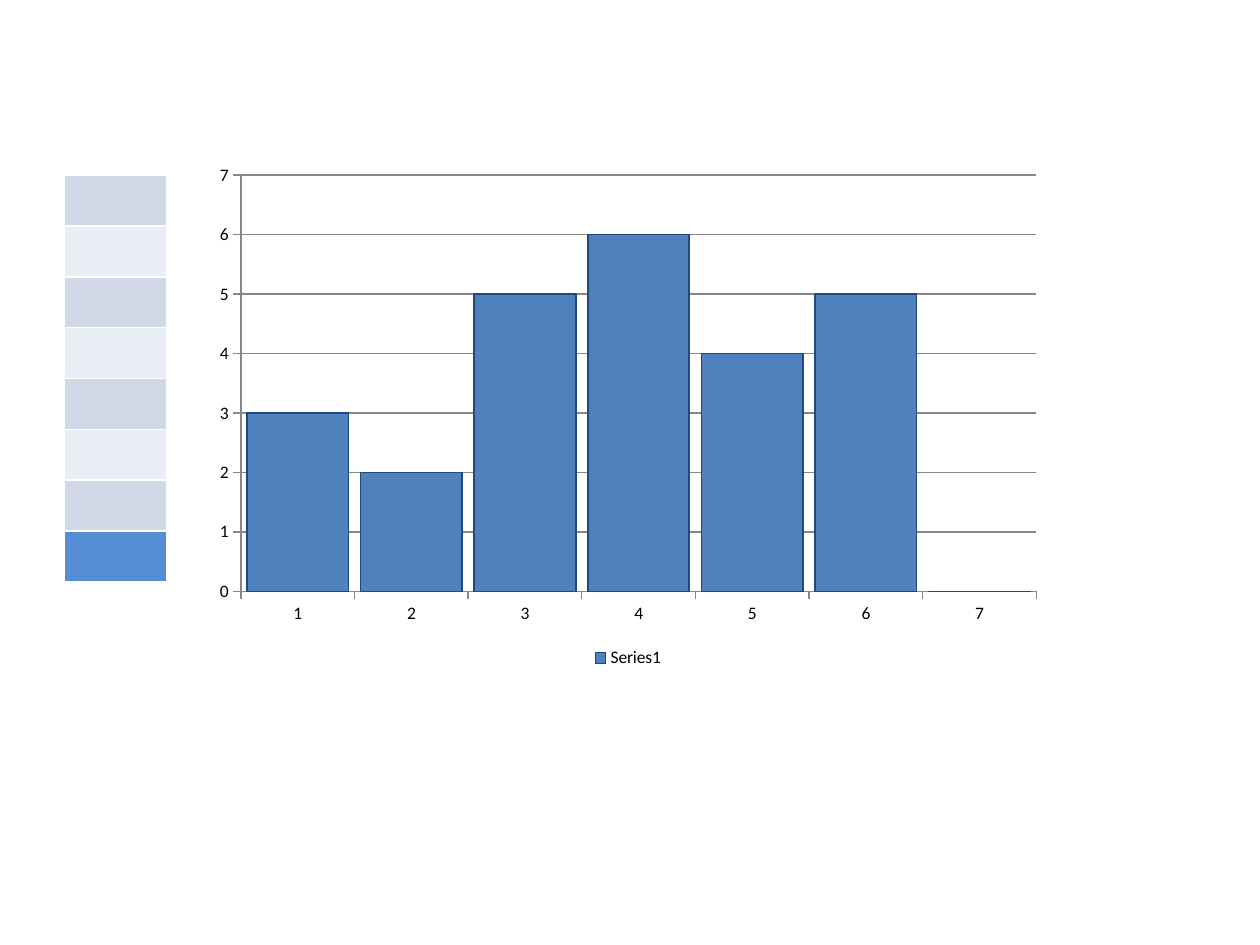
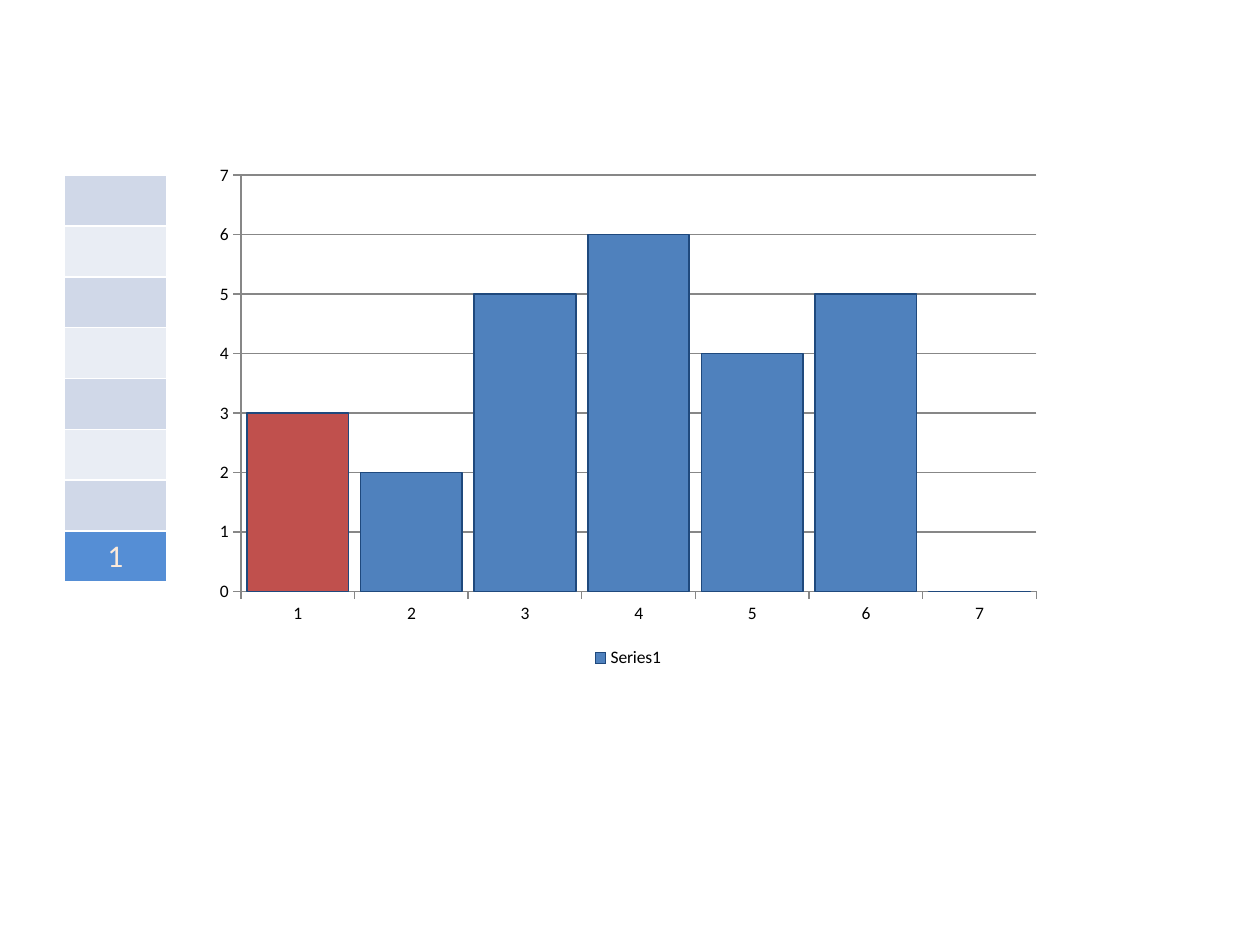
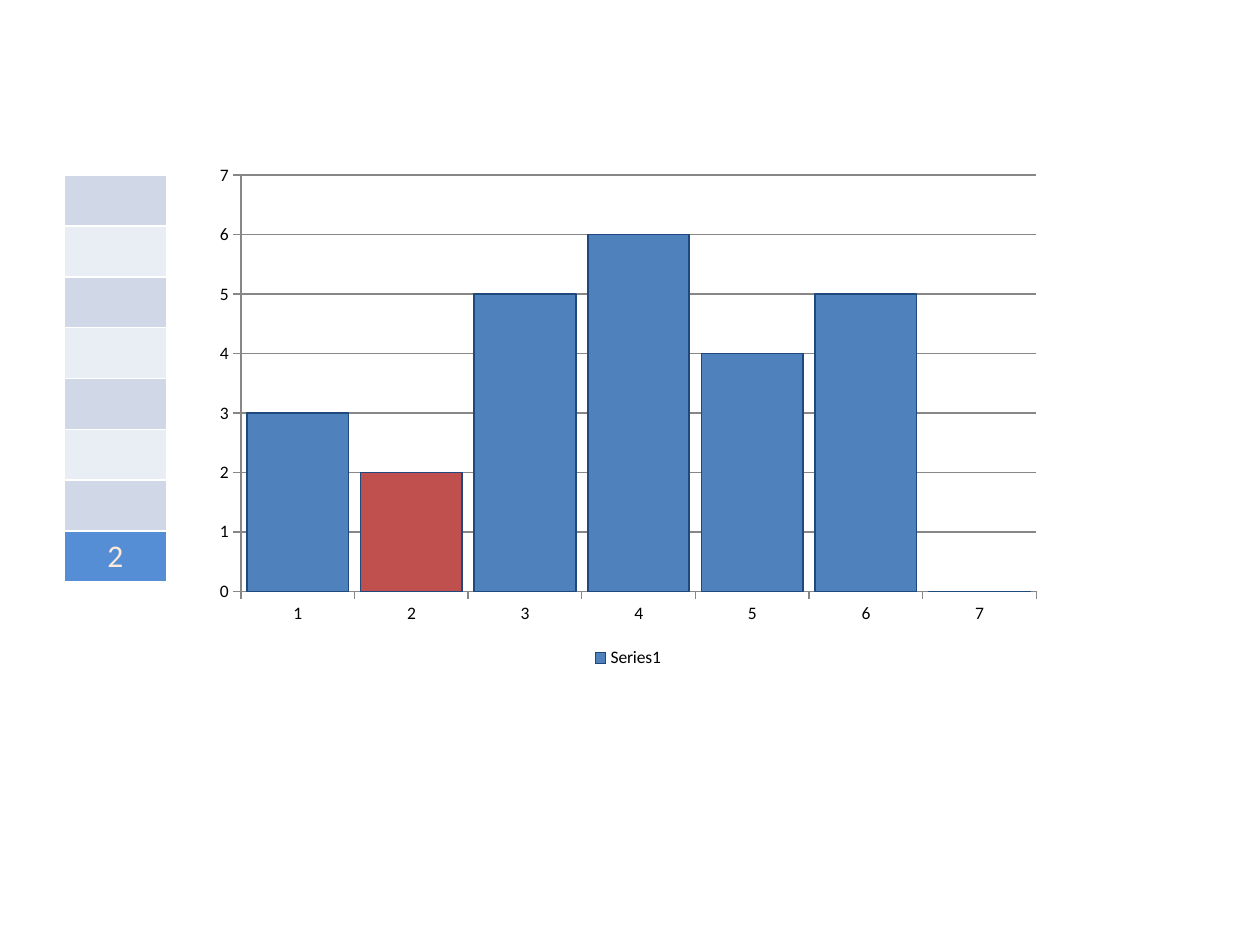
from dataclasses import dataclass
from typing import Optional

from lxml.etree import SubElement
from pptx import Presentation
from pptx.chart.data import CategoryChartData
from pptx.dml.color import RGBColor
from pptx.enum.chart import XL_CHART_TYPE as ChartType
from pptx.enum.chart import XL_LEGEND_POSITION as LegendPos
from pptx.enum.chart import XL_TICK_MARK as Tick
from pptx.enum.text import MSO_ANCHOR as Anchor
from pptx.enum.text import PP_ALIGN as Align
from pptx.oxml.ns import qn
from pptx.util import Pt

FONT = "Calibri"
BLACK = RGBColor(0x00, 0x00, 0x00)
WHITE = RGBColor(0xFF, 0xFF, 0xFF)
GREY = RGBColor(0x87, 0x87, 0x87)
BAR = RGBColor(0x4F, 0x81, 0xBD)
BAR_EDGE = RGBColor(0x1F, 0x49, 0x7D)
ACTIVE_BAR = RGBColor(0xC0, 0x50, 0x4D)
BANDS = (RGBColor(0xD0, 0xD8, 0xE8), RGBColor(0xE9, 0xED, 0xF4))
STACK_BOTTOM = RGBColor(0x55, 0x8E, 0xD5)
STACK_TEXT = RGBColor(0xFD, 0xEA, 0xDA)

HEIGHTS = (3, 2, 5, 6, 4, 5, 0)
STACK_ROWS = 8
CELL_FORMAT = {
    "margin_top": Pt(3.5),
    "margin_bottom": Pt(3.5),
    "vertical_anchor": Anchor.MIDDLE,
}


@dataclass(frozen=True)
class Box:
    """Place and size in points."""
    left: float
    top: float
    width: float
    height: float

    def lengths(self) -> tuple:
        """Return the four values as lengths."""
        return Pt(self.left), Pt(self.top), Pt(self.width), Pt(self.height)


@dataclass(frozen=True)
class Step:
    """State of the stack: the number of the bar just pushed, if any."""
    pushed: Optional[int] = None


CHART_BOX = Box(115.92, 88.56, 486, 295.92)
STACK_BOX = Box(36.72, 100.08, 58.32, 232.56)
STEPS = (Step(), Step(1), Step(2))


def apply(target, values: dict) -> None:
    """Set each named attribute of target."""
    for name, value in values.items():
        setattr(target, name, value)


def style_line(line, color: RGBColor, width: float) -> None:
    """Give a line its colour and width."""
    line.color.rgb = color
    line.width = Pt(width)


def paint_bar(fmt, color: RGBColor) -> None:
    """Fill and outline a bar or a series."""
    fmt.fill.solid()
    fmt.fill.fore_color.rgb = color
    style_line(fmt.line, BAR_EDGE, 1)


def add_histogram(slide, step: Step) -> None:
    """Draw the bars and highlight the one just pushed."""
    data = CategoryChartData()
    data.categories = [str(i + 1) for i in range(len(HEIGHTS))]
    data.add_series("Series1", HEIGHTS)
    chart = slide.shapes.add_chart(
        ChartType.COLUMN_CLUSTERED, *CHART_BOX.lengths(), data).chart
    chart.has_title = False
    apply(chart.font, {"name": FONT, "size": Pt(10)})
    chart.font.color.rgb = BLACK
    chart.has_legend = True
    apply(chart.legend, {"position": LegendPos.BOTTOM,
                         "include_in_layout": False})

    for axis in (chart.category_axis, chart.value_axis):
        apply(axis, {"major_tick_mark": Tick.OUTSIDE,
                     "minor_tick_mark": Tick.NONE})
        style_line(axis.format.line, GREY, 0.75)
    value_axis = chart.value_axis
    apply(value_axis, {"minimum_scale": 0, "maximum_scale": 7,
                       "major_unit": 1, "has_major_gridlines": True})
    style_line(value_axis.major_gridlines.format.line, GREY, 0.75)

    plot = chart.plots[0]
    apply(plot, {"gap_width": 12, "vary_by_categories": False})
    series = plot.series[0]
    series.invert_if_negative = False
    paint_bar(series.format, BAR)
    if step.pushed is not None:
        paint_bar(series.points[step.pushed - 1].format, ACTIVE_BAR)


def add_borders(cell) -> None:
    """Put a thin white border on every side of a cell."""
    props = cell._tc.get_or_add_tcPr()
    for side in ("lnL", "lnR", "lnT", "lnB"):
        ln = SubElement(props, qn(f"a:{side}"), w=str(Pt(1)))
        fill = SubElement(ln, qn("a:solidFill"))
        SubElement(fill, qn("a:srgbClr"), val=str(WHITE))


def add_stack(slide, step: Step) -> None:
    """Draw the stack with the pushed number at its bottom."""
    table = slide.shapes.add_table(STACK_ROWS, 1, *STACK_BOX.lengths()).table
    apply(table, {"first_row": False, "horz_banding": False})
    for i, row in enumerate(table.rows):
        row.height = Pt(STACK_BOX.height / STACK_ROWS)
        cell = row.cells[0]
        apply(cell, CELL_FORMAT)
        add_borders(cell)
        is_bottom = i == STACK_ROWS - 1
        cell.fill.solid()
        cell.fill.fore_color.rgb = STACK_BOTTOM if is_bottom else BANDS[i % 2]
        if is_bottom and step.pushed is not None:
            p = cell.text_frame.paragraphs[0]
            p.alignment = Align.CENTER
            r = p.add_run()
            r.text = str(step.pushed)
            apply(r.font, {"name": FONT, "size": Pt(18), "bold": False})
            r.font.color.rgb = STACK_TEXT


def main() -> None:
    """Build one slide for each step."""
    prs = Presentation()
    apply(prs, {"slide_width": Pt(720), "slide_height": Pt(540)})
    for step in STEPS:
        slide = prs.slides.add_slide(prs.slide_layouts[6])
        add_histogram(slide, step)
        add_stack(slide, step)
    prs.save("out.pptx")


main()
